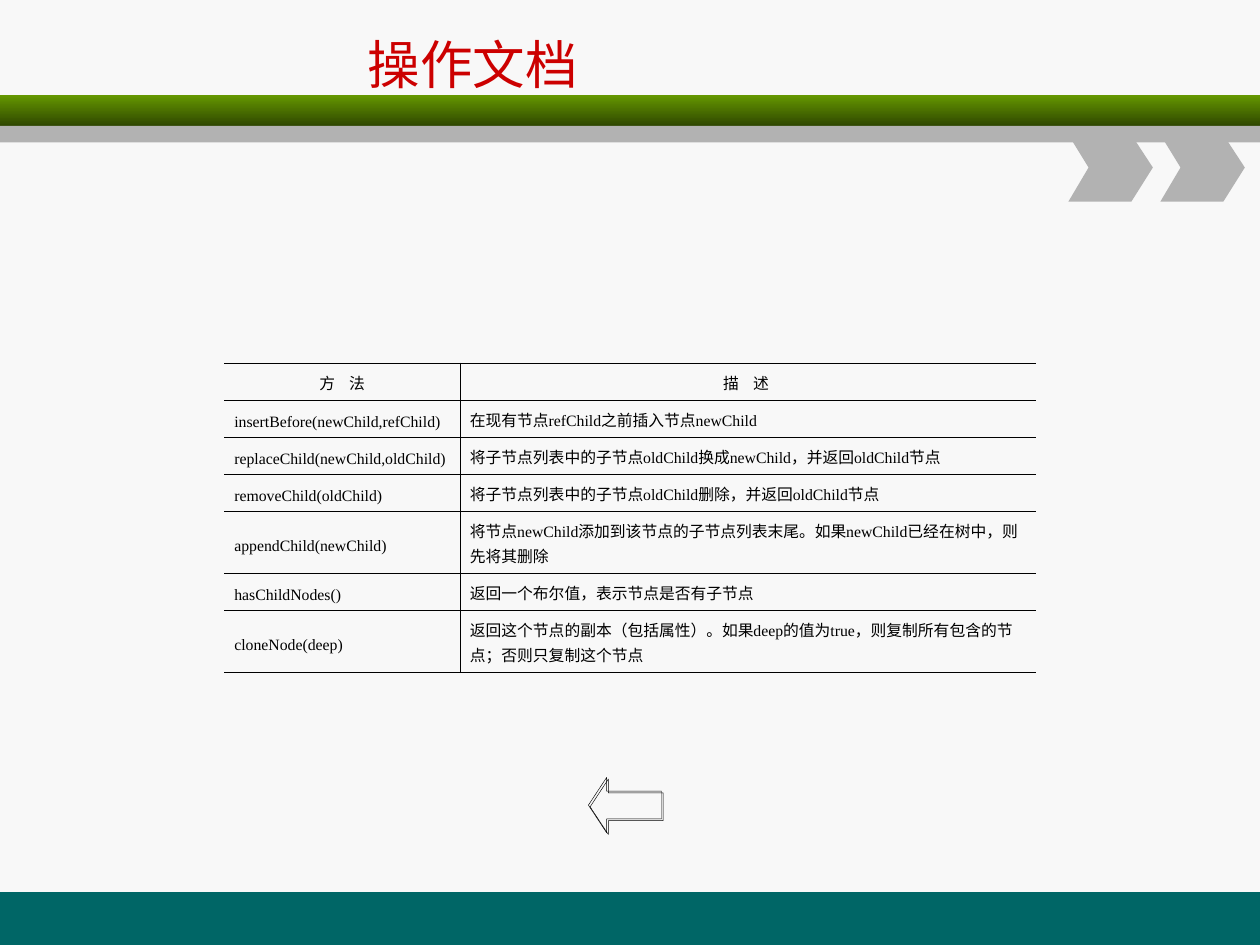
from lxml import etree
from pptx import Presentation
from pptx.dml.color import RGBColor
from pptx.enum import shapes, text
from pptx.oxml import ns
from pptx.util import Inches, Pt

ROWS = [
    ("方    法", "描    述 "),
    ("insertBefore(newChild,refChild)", "在现有节点refChild之前插入节点newChild"),
    ("replaceChild(newChild,oldChild)",
     "将子节点列表中的子节点oldChild换成newChild，并返回oldChild节点"),
    ("removeChild(oldChild)", "将子节点列表中的子节点oldChild删除，并返回oldChild节点"),
    ("appendChild(newChild)",
     "将节点newChild添加到该节点的子节点列表末尾。如果newChild已经在树中，则先将其删除"),
    ("hasChildNodes()", "返回一个布尔值，表示节点是否有子节点"),
    ("cloneNode(deep)",
     "返回这个节点的副本（包括属性）。如果deep的值为true，则复制所有包含的节点；否则只复制这个节点"),
]


def color(code):
    return RGBColor.from_string(code)


def node(parent, tag, **attrs):
    return etree.SubElement(parent, ns.qn(tag), attrs)


class Deck:
    ink, gray, teal, red = "000000", "B2B2B2", "006666", "CC0000"
    lime, moss, paper = "669900", "2F4700", "F8F8F8"

    def __init__(self):
        self.prs = Presentation()
        self.prs.slide_width, self.prs.slide_height = Inches(10), Inches(7.5)
        self.slide = self.prs.slides.add_slide(self.prs.slide_layouts[5])
        fill = self.slide.background.fill
        fill.solid()
        fill.fore_color.rgb = color(self.paper)

    def paint(self, shape, code):
        shape.shadow.inherit = False
        shape.fill.solid()
        shape.fill.fore_color.rgb = color(code)
        shape.line.fill.background()

    def words(self, para, words, font, size, code):
        para.text = words
        for run in para.runs:
            run.font.name = font
            run.font.size = Pt(size)
            run.font.color.rgb = color(code)

    def title(self, words, *box):
        shape = self.slide.shapes.title
        shape.left, shape.top, shape.width, shape.height = map(Inches, box)
        frame = shape.text_frame
        frame.vertical_anchor = text.MSO_ANCHOR.MIDDLE
        para = frame.paragraphs[0]
        para.alignment = text.PP_ALIGN.LEFT
        self.words(para, words, "DejaVu Sans", 30, self.red)

    def shape(self, kind, *box):
        return self.slide.shapes.add_shape(kind, *map(Inches, box))

    def bar(self, top, high, code, end=None):
        bar = self.shape(shapes.MSO_SHAPE.RECTANGLE, 0, top, 10, high)
        self.paint(bar, code)
        if end:
            bar.fill.gradient()
            bar.fill.gradient_angle = 270
            for stop, shade in zip(bar.fill.gradient_stops, (code, end)):
                stop.color.rgb = color(shade)

    def chevron(self, left, top):
        pen = self.slide.shapes.build_freeform(Inches(left), Inches(top))
        points = [(0.5, 0), (0.67, 0.26), (0.5, 0.53), (0, 0.53), (0.16, 0.26)]
        pen.add_line_segments(
            [(Inches(left + x), Inches(top + y)) for x, y in points], close=True)
        self.paint(pen.convert_to_shape(), self.gray)

    def arrow(self, *box):
        arrow = self.shape(shapes.MSO_SHAPE.LEFT_ARROW, *box)
        arrow.adjustments[1] = 0.33
        arrow.fill.background()
        arrow.line.color.rgb = color(self.ink)
        arrow.line.width = Pt(0.25)
        arrow.shadow.inherit = False
        effect = arrow._element.spPr.find(ns.qn("a:effectLst"))
        cast = node(effect, "a:outerShdw", dist=str(Pt(1.4)), dir="2700000",
                    algn="ctr", rotWithShape="0")
        node(cast, "a:srgbClr", val=self.ink)

    def border(self, cell, bare):
        props = cell._tc.get_or_add_tcPr()
        for side in ("lnL", "lnR", "lnT", "lnB"):
            line = node(props, "a:" + side, w=str(Pt(0.45)))
            if side == bare:
                node(line, "a:noFill")
            else:
                node(node(line, "a:solidFill"), "a:srgbClr", val=self.ink)

    def cell(self, cell, words, head, bare):
        self.border(cell, bare)
        cell.fill.background()
        cell.vertical_anchor = text.MSO_ANCHOR.MIDDLE
        cell.margin_left = cell.margin_right = Inches(0.08)
        cell.margin_top = cell.margin_bottom = Inches(0.05)
        para = cell.text_frame.paragraphs[0]
        para.line_spacing = Pt(14)
        para.alignment = text.PP_ALIGN.CENTER if head else text.PP_ALIGN.LEFT
        self.words(para, words, "Arial" if head else "Times New Roman", 9, self.ink)

    def table(self, rows, cols, highs, left, top):
        box = map(Inches, (left, top, sum(cols), sum(highs)))
        grid = self.slide.shapes.add_table(len(rows), len(cols), *box).table
        grid.first_row = grid.horz_banding = False
        for col, wide in zip(grid.columns, cols):
            col.width = Inches(wide)
        for r, (row, high) in enumerate(zip(rows, highs)):
            grid.rows[r].height = Inches(high)
            for c, words in enumerate(row):
                self.cell(grid.cell(r, c), words, r == 0, ("lnL", "lnR")[c])


def main():
    deck = Deck()
    deck.bar(7.08, 0.42, deck.teal)
    deck.bar(0.75, 0.25, deck.lime, deck.moss)
    deck.bar(1, 0.13, deck.gray)
    for left in (8.48, 9.21):
        deck.chevron(left, 1.07)
    deck.arrow(4.67, 6.17, 0.58, 0.44)
    deck.title("操作文档", 2.82, 0.17, 4.46, 0.67)
    highs = [0.39 if len(words) > 45 else 0.19 for _, words in ROWS]
    deck.table(ROWS, (1.87, 4.57), highs, 1.78, 2.88)
    deck.prs.save("out.pptx")


if __name__ == "__main__":
    main()
